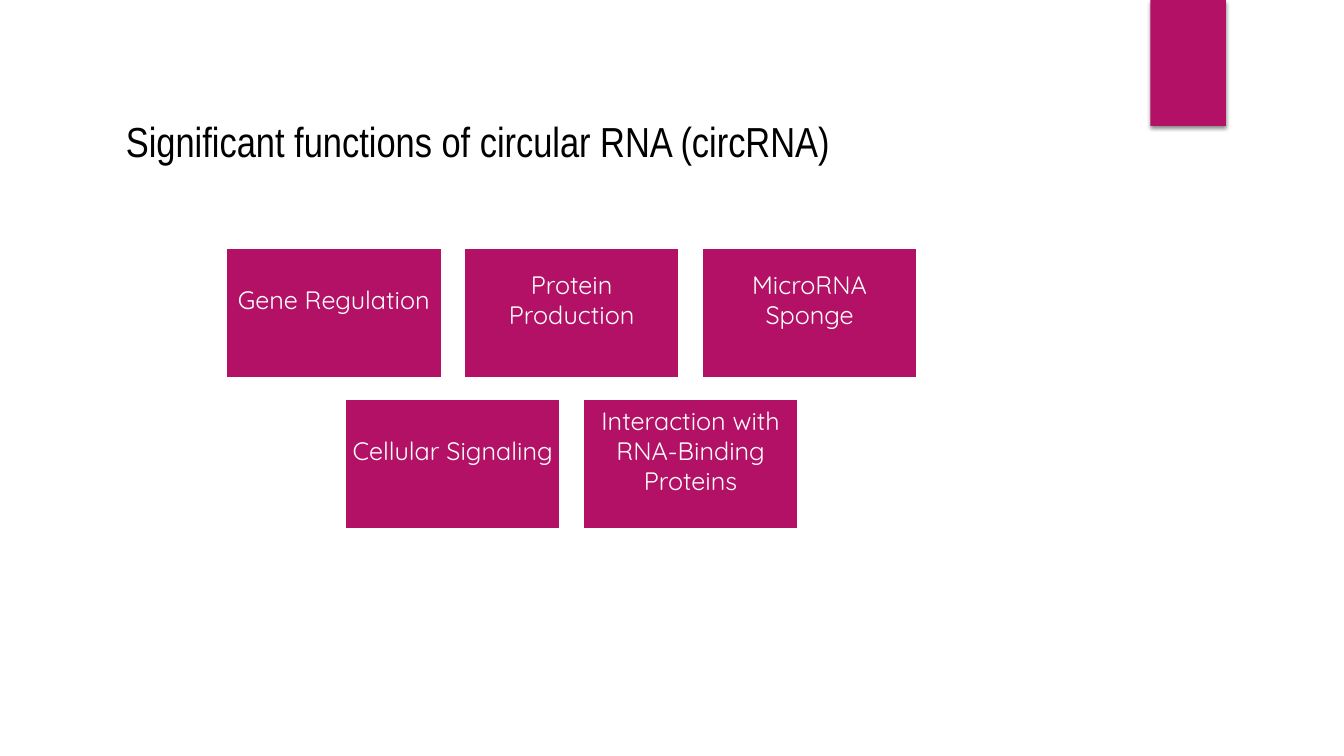
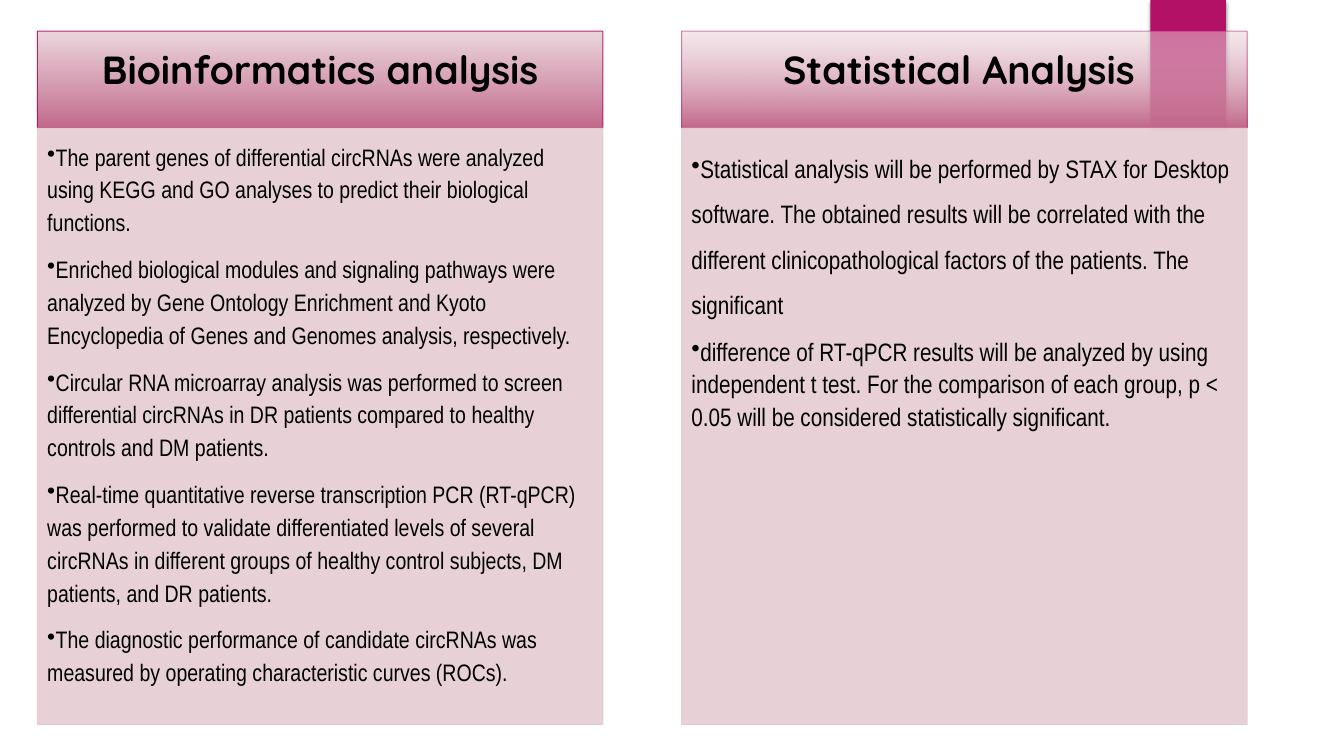
from lxml.etree import SubElement
from pptx import Presentation
from pptx.dml.color import RGBColor
from pptx.enum.shapes import MSO_SHAPE
from pptx.enum.text import MSO_ANCHOR, PP_ALIGN
from pptx.oxml.ns import qn
from pptx.util import Emu, Pt

EMU_PER_PX = 9144  # 100 px to the inch
BLANK_LAYOUT = 6
COLORS = {
    "accent": "B31166",
    "white": "FFFFFF",
    "black": "000000",
    "header_top": "E9D1D8",
    "header_bottom": "C2698B",
    "panel": "E5CCD3",
}
HEADING_FONT = "Quicksand"
BODY_FONT = "Arial Narrow"

# Card grid: every row is centred on the same axis
CARD_WIDTH, CARD_HEIGHT = 214, 129
CARD_PITCH, CARD_ROW_PITCH = 236, 150
CARDS_CENTER, CARDS_TOP = 567, 246
CARD_ROWS = [
    ["Gene Regulation", "Protein Production", "MicroRNA Sponge"],
    ["Cellular Signaling", "Interaction with RNA-Binding Proteins"],
]

# Panels: a gradient header on top of a bulleted body
PANEL_TOP, PANEL_WIDTH = 31, 561
HEADER_HEIGHT, BODY_HEIGHT = 96, 592

BIOINFORMATICS_POINTS = [
    "The parent genes of differential circRNAs were analyzed using KEGG and GO "
    "analyses to predict their biological functions.",
    "Enriched biological modules and signaling pathways were analyzed by Gene Ontology "
    "Enrichment and Kyoto Encyclopedia of Genes and Genomes analysis, respectively.",
    "Circular RNA microarray analysis was performed to screen differential circRNAs in "
    "DR patients compared to healthy controls and DM patients.",
    "Real-time quantitative reverse transcription PCR (RT-qPCR) was performed to validate "
    "differentiated levels of several circRNAs in different groups of healthy control "
    "subjects, DM patients, and DR patients.",
    "The diagnostic performance of candidate circRNAs was measured by operating "
    "characteristic curves (ROCs).",
]
STATISTICS_POINTS = [
    "Statistical analysis will be performed by STAX for Desktop software. The obtained "
    "results will be correlated with the different clinicopathological factors of the "
    "patients. The significant",
    "difference of RT-qPCR results will be analyzed by using independent t test. For the "
    "comparison of each group, p < 0.05 will be considered statistically significant.",
]


def px(value):
    return Emu(round(value * EMU_PER_PX))


def rgb(name):
    return RGBColor.from_string(COLORS[name])


def set_alpha(color_element, percent):
    SubElement(color_element, qn("a:alpha"), val=str(percent * 1000))


def set_font(paragraph, font, size, color, bold=False):
    for run in paragraph.runs:
        run.font.name = font
        run.font.size = Pt(size)
        run.font.bold = bold
        run.font.color.rgb = rgb(color)


def set_frame(text_frame, insets, anchor):
    text_frame.word_wrap = True
    text_frame.vertical_anchor = anchor
    (text_frame.margin_left, text_frame.margin_top,
     text_frame.margin_right, text_frame.margin_bottom) = map(px, insets)


def add_rectangle(slide, left, top, width, height, fill, line=None, line_width=0.75, alpha=None):
    shape = slide.shapes.add_shape(
        MSO_SHAPE.RECTANGLE, px(left), px(top), px(width), px(height))
    shape.shadow.inherit = False
    shape.fill.solid()
    shape.fill.fore_color.rgb = rgb(fill)
    if line:
        shape.line.color.rgb = rgb(line)
        shape.line.width = Pt(line_width)
    else:
        shape.line.fill.background()
    if alpha is not None:
        for color_element in shape._element.spPr.iter(qn("a:srgbClr")):
            set_alpha(color_element, alpha)
    return shape


def add_label(shape, text, size, color, insets, bold=False):
    set_frame(shape.text_frame, insets, MSO_ANCHOR.MIDDLE)
    shape.text_frame.text = text
    paragraph = shape.text_frame.paragraphs[0]
    paragraph.alignment = PP_ALIGN.CENTER
    set_font(paragraph, HEADING_FONT, size, color, bold)


def add_slide(presentation):
    """Blank slide with the shared accent tab and its soft shadow."""
    slide = presentation.slides.add_slide(presentation.slide_layouts[BLANK_LAYOUT])
    tab = add_rectangle(slide, 1141, 0, 75, 125, "accent")
    effects = tab._element.spPr.find(qn("a:effectLst"))
    shadow = SubElement(effects, qn("a:outerShdw"), blurRad=str(Pt(3)), dist=str(Pt(2)),
                        dir="5400000", algn="ctr", rotWithShape="0")
    set_alpha(SubElement(shadow, qn("a:srgbClr"), val=COLORS["black"]), 45)
    return slide


def add_title(slide, text):
    text_frame = slide.shapes.add_textbox(px(115), px(110), px(918), px(61)).text_frame
    set_frame(text_frame, (10, 5, 10, 5), MSO_ANCHOR.TOP)
    text_frame.text = text
    set_font(text_frame.paragraphs[0], BODY_FONT, 30, "black")


def add_cards(slide, rows):
    for row_index, labels in enumerate(rows):
        row_width = (len(labels) - 1) * CARD_PITCH + CARD_WIDTH
        left = CARDS_CENTER - row_width // 2
        top = CARDS_TOP + row_index * CARD_ROW_PITCH
        for column, label in enumerate(labels):
            card = add_rectangle(slide, left + column * CARD_PITCH, top,
                                 CARD_WIDTH, CARD_HEIGHT, "accent", "white", 1.5)
            add_label(card, label, 18, "white", (7, 7, 7, 34))


def add_header(slide, left, text, alpha):
    header = add_rectangle(slide, left, PANEL_TOP, PANEL_WIDTH, HEADER_HEIGHT,
                           "header_top", "accent")
    header.fill.gradient()
    header.fill.gradient_angle = 270
    for stop, color in zip(header.fill.gradient_stops, ("header_top", "header_bottom")):
        stop.color.rgb = rgb(color)
    # The first stop and the outline are see-through
    properties = header._element.spPr
    set_alpha(properties.find(".//" + qn("a:gs") + "/" + qn("a:srgbClr")), alpha)
    set_alpha(properties.find(qn("a:ln")).find(".//" + qn("a:srgbClr")), alpha)
    add_label(header, text, 28, "black", (22, 12, 22, 33), bold=True)


def add_bullet(paragraph):
    properties = paragraph._p.get_or_add_pPr()
    properties.set("marL", "0")
    properties.set("indent", "0")
    SubElement(properties, qn("a:buChar"), char="•")


def add_body(slide, left, points, size, spacings):
    """Bulleted body; spacings holds (line spacing, points after) per paragraph."""
    body = add_rectangle(slide, left, PANEL_TOP + HEADER_HEIGHT, PANEL_WIDTH, BODY_HEIGHT,
                         "panel", "panel", alpha=90)
    text_frame = body.text_frame
    set_frame(text_frame, (10, 10, 13, 15), MSO_ANCHOR.TOP)
    text_frame.text = "\n".join(points)
    for paragraph, (line_spacing, space_after) in zip(text_frame.paragraphs, spacings):
        add_bullet(paragraph)
        paragraph.alignment = PP_ALIGN.LEFT
        paragraph.line_spacing = line_spacing
        paragraph.space_after = Pt(space_after)
        set_font(paragraph, BODY_FONT, size, "black")


def add_panel(slide, left, heading, header_alpha, points, size, spacings):
    add_header(slide, left, heading, header_alpha)
    add_body(slide, left, points, size, spacings)


def main():
    presentation = Presentation()
    presentation.slide_width, presentation.slide_height = px(1333), px(750)

    # Functions of circRNA
    functions_slide = add_slide(presentation)
    add_title(functions_slide, "Significant functions of circular RNA (circRNA)")
    add_cards(functions_slide, CARD_ROWS)

    # Analysis methods
    analysis_slide = add_slide(presentation)
    add_panel(analysis_slide, 37, "Bioinformatics analysis", 90,
              BIOINFORMATICS_POINTS, 17, [(1.15, 10)] * len(BIOINFORMATICS_POINTS))
    add_panel(analysis_slide, 676, "Statistical Analysis ", 50,
              STATISTICS_POINTS, 18, [(1.5, 10), (1.08, 8)])

    presentation.save("out.pptx")


if __name__ == "__main__":
    main()
